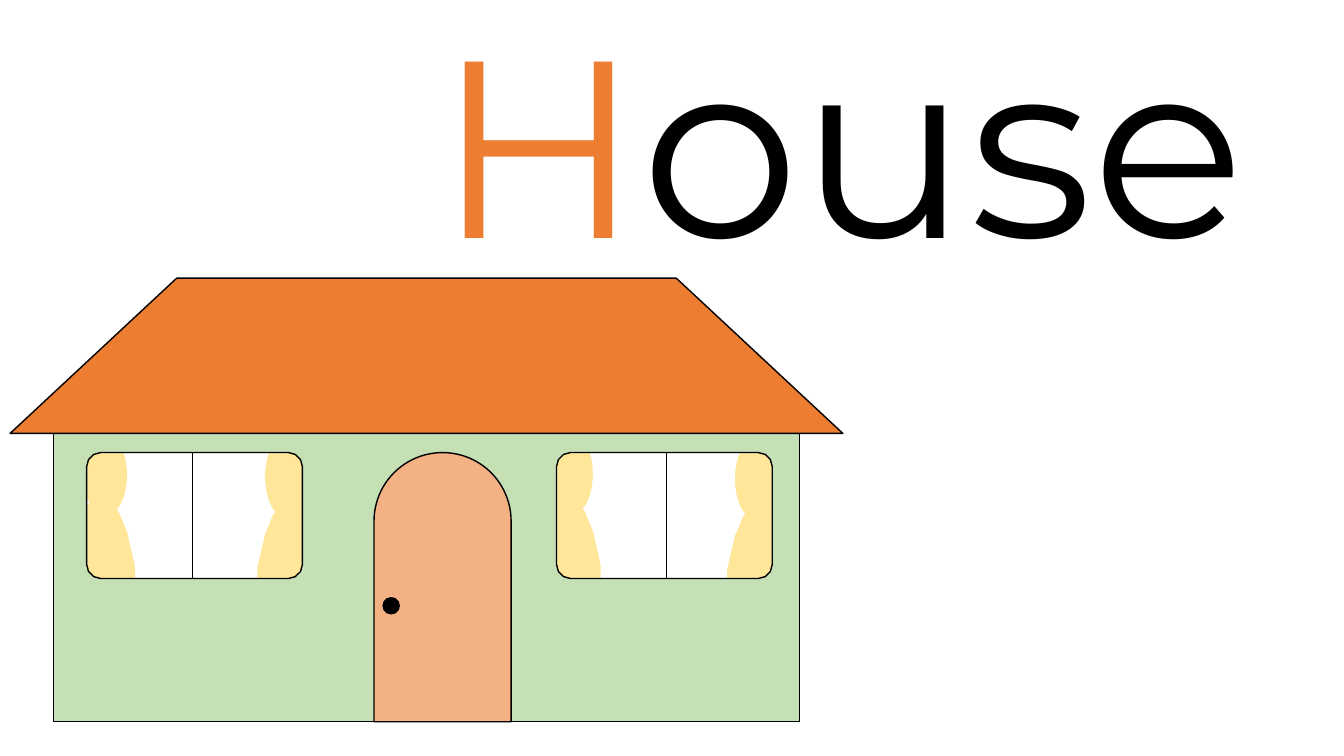
import math

import pptx
import pptx.dml.color
import pptx.enum.shapes
import pptx.enum.text
import pptx.oxml.ns
import pptx.util
from lxml import etree

Inches, Pt = pptx.util.Inches, pptx.util.Pt
SHAPE = pptx.enum.shapes.MSO_SHAPE
COLORS = {"ink": "000000", "roof": "ED7D31", "wall": "C5E0B4",
          "door": "F4B183", "curtain": "FFE699"}
WINDOW_TOP, WINDOW_W, WINDOW_H, CORNER = 4.49, 2.14, 1.25, 0.14
WINDOW_LEFTS = (0.86, 5.52)
DIVIDERS = (1.91, 6.61)
BUNCH_W, DRAPE_W = 0.43, 0.58
CURTAINS = ((5.45, 4.29, False), (7.29, 4.34, True),
            (2.63, 4.32, True), (0.83, 4.3, False))
DRAPE = ((0.15, 0.41),
         ((0.17, 0.2), (0.24, 0), (0.36, 0)),
         ((0.48, 0), (0.57, 0.18), (0.58, 0.41)),
         ((0.58, 0.64), (0.63, 1.34), (0.2, 1.26)),
         ((-0.21, 1.17), (0.12, 0.62), (0.15, 0.41)))


def rgb(name):
    """Return the named colour."""
    return pptx.dml.color.RGBColor.from_string(COLORS[name])


def style(sp, fill, outlined=True):
    """Set the fill and outline of a shape."""
    sp.shadow.inherit = False
    sp.fill.solid()
    sp.fill.fore_color.rgb = rgb(fill)
    if outlined:
        sp.line.color.rgb = rgb("ink")
        sp.line.width = Pt(1)
    else:
        sp.line.fill.background()


def add_preset(shapes, kind, box, fill, outlined=True):
    """Add a styled preset shape."""
    sp = shapes.add_shape(kind, *map(Inches, box))
    style(sp, fill, outlined)
    return sp


def add_outline(shapes, contours, fill, outlined=True):
    """Add a freeform made of closed contours."""
    contours = [[(Inches(x), Inches(y)) for x, y in c] for c in contours]
    builder = shapes.build_freeform(*contours[0][0])
    builder.add_line_segments(contours[0][1:])
    for start, *rest in contours[1:]:
        builder.move_to(*start)
        builder.add_line_segments(rest)
    sp = builder.convert_to_shape()
    style(sp, fill, outlined)
    return sp


def curve_points(start, *curves, steps=3):
    """Sample a chain of cubic curves, leaving the closing point out."""
    points = [start]
    for b, c, d in curves:
        a = points[-1]
        for t in (i / steps for i in range(1, steps + 1)):
            weights = ((1 - t) ** 3, 3 * t * (1 - t) ** 2, 3 * t * t * (1 - t), t ** 3)
            points.append(tuple(sum(w * p[k] for w, p in zip(weights, (a, b, c, d)))
                                for k in (0, 1)))
    return points[:-1]


def rounded_points(x, y, w, h, r, steps=3):
    """Sample the outline of a rounded rectangle."""
    corners = ((x + w - r, y + h - r), (x + r, y + h - r),
               (x + r, y + r), (x + w - r, y + r))
    points = []
    for quarter, (cx, cy) in enumerate(corners):
        for i in range(steps + 1):
            angle = (quarter + i / steps) * math.pi / 2
            points.append((cx + r * math.cos(angle), cy + r * math.sin(angle)))
    return points


def add_curtain(shapes, x, y, mirrored):
    """Add a bunched top and the tilted drape below it."""
    add_preset(shapes, SHAPE.OVAL, (x, y, BUNCH_W, 0.82), "curtain", False)
    left = x + (BUNCH_W + 0.09 - DRAPE_W if mirrored else -0.09)
    points = [(left + (DRAPE_W - px if mirrored else px), y + 0.63 + py)
              for px, py in curve_points(*DRAPE)]
    sp = add_outline(shapes, [points], "curtain", False)
    sp.rotation = 13.4 if mirrored else 346.6


def add_divider(shapes, x):
    """Add the upright line in a window."""
    line = shapes.add_connector(pptx.enum.shapes.MSO_CONNECTOR.STRAIGHT,
                                Inches(x), Inches(4.49), Inches(x), Inches(5.78))
    line.line.color.rgb = rgb("ink")
    line.line.width = Pt(0.5)
    etree.SubElement(line._element.spPr, pptx.oxml.ns.qn("a:effectLst"))


def add_title(s):
    """Fill the title with a coloured first letter."""
    sp = s.shapes.title
    sp.left, sp.top, sp.width, sp.height = map(Inches, (4.23, -0.18, 10.23, 3.13))
    tf = sp.text_frame
    tf.word_wrap = True
    tf.auto_size = pptx.enum.text.MSO_AUTO_SIZE.NONE
    tf.vertical_anchor = pptx.enum.text.MSO_ANCHOR.TOP
    p = tf.paragraphs[0]
    p.alignment = pptx.enum.text.PP_ALIGN.LEFT
    p.font.name = "Montserrat"
    p.font.size = Pt(180)
    for text, color in (("H", "roof"), ("ouse", "ink")):
        r = p.add_run()
        r.text = text
        r.font.color.rgb = rgb(color)


def add_house(s):
    """Draw the house as one group, from back to front."""
    shapes = s.shapes.add_group_shape().shapes
    for x, y, mirrored in CURTAINS:
        add_curtain(shapes, x, y, mirrored)
    for x in DIVIDERS:
        add_divider(shapes, x)
    wall = [(0.53, 4), (7.93, 4), (7.93, 7.16), (0.53, 7.16)]
    holes = [rounded_points(x, WINDOW_TOP, WINDOW_W, WINDOW_H, CORNER)
             for x in WINDOW_LEFTS]
    add_outline(shapes, [wall] + holes, "wall")
    door = add_preset(shapes, SHAPE.ROUND_2_SAME_RECTANGLE,
                      (3.71, 4.49, 1.36, 2.67), "door")
    door.adjustments[0] = 0.5
    door.adjustments[1] = 0
    add_preset(shapes, SHAPE.OVAL, (3.8, 5.93, 0.16, 0.16), "ink")
    roof = add_preset(shapes, SHAPE.FLOWCHART_MANUAL_OPERATION,
                      (0.1, 2.76, 8.26, 1.54), "roof")
    roof.rotation = 180


def main():
    """Build and save the slide."""
    prs = pptx.Presentation()
    prs.slide_width, prs.slide_height = Inches(13.33), Inches(7.5)
    s = prs.slides.add_slide(prs.slide_layouts[5])
    add_title(s)
    add_house(s)
    prs.save("out.pptx")


if __name__ == "__main__":
    main()
